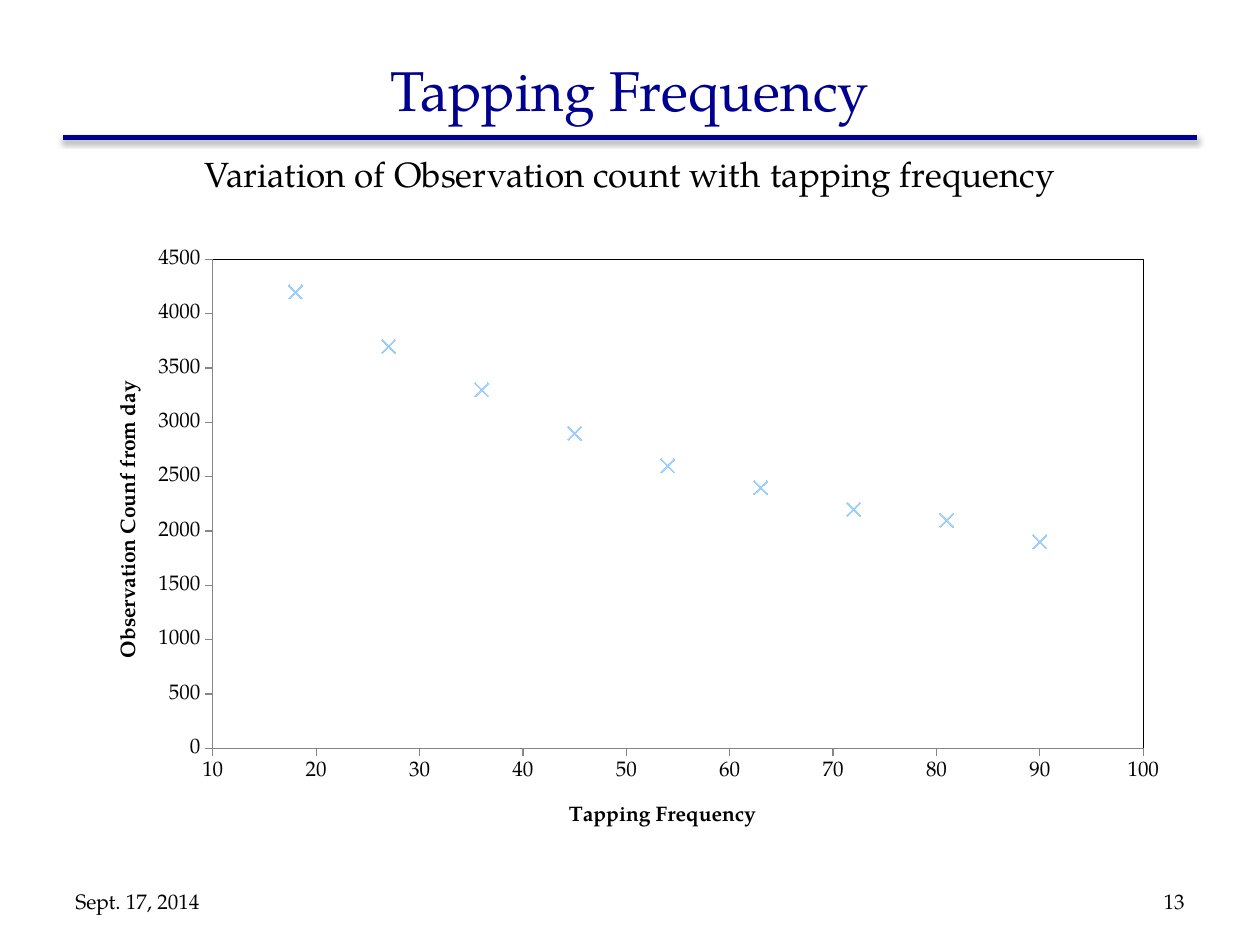
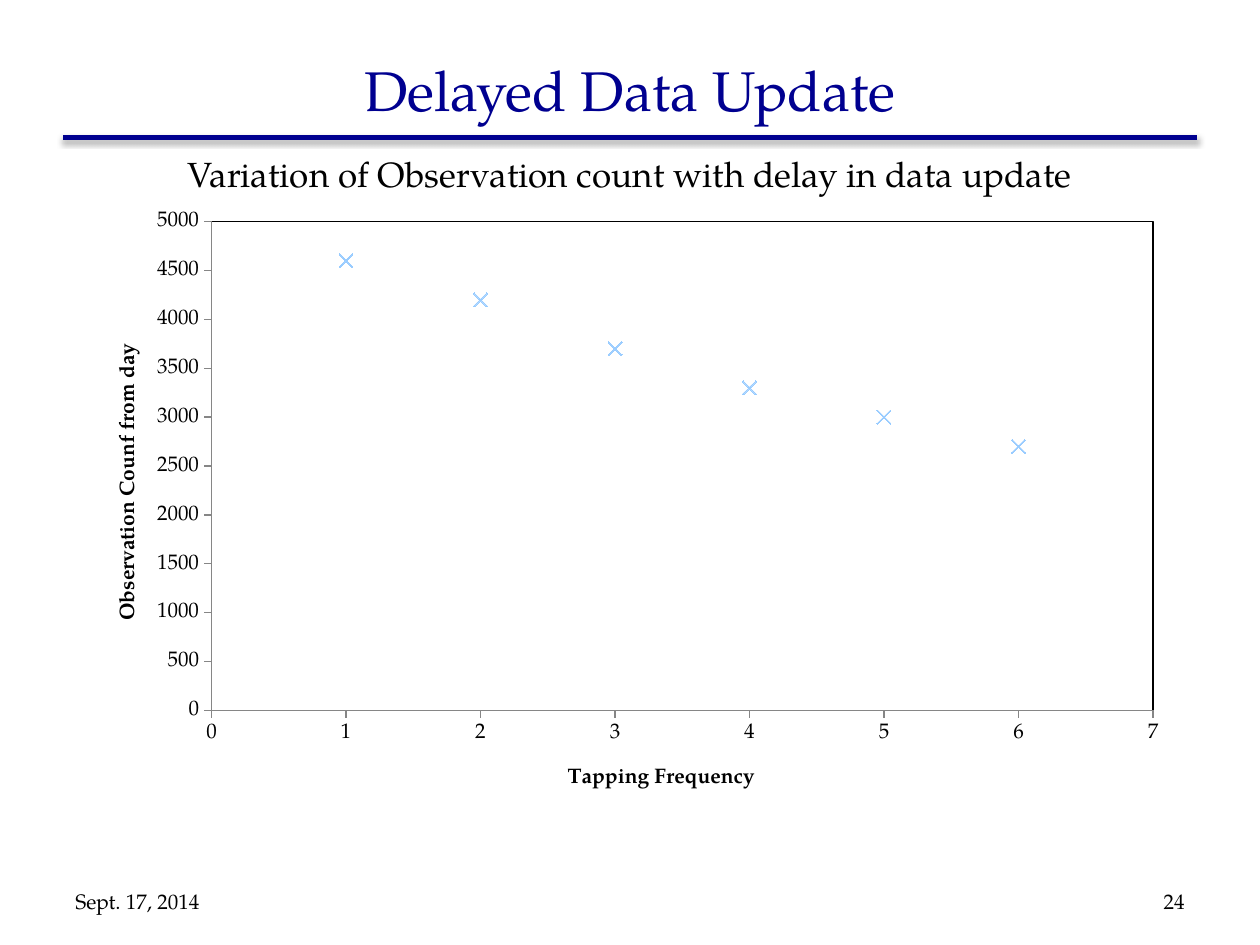
from dataclasses import dataclass
from typing import NamedTuple

from lxml import etree
from pptx import Presentation
from pptx import util as u
from pptx.chart.data import XyChartData
from pptx.dml.color import RGBColor
from pptx.enum import chart as ce
from pptx.enum import shapes, text
from pptx.oxml import parse_xml
from pptx.oxml.ns import nsdecls, qn

WIDE, HIGH = u.Inches(10), u.Inches(7.5)
COLS, ROWS = 100, 75
FONT = "TeX Gyre Pagella"
HUES = {"navy": "000090", "ink": "000000", "axis": "868686", "mark": "99CCFF"}
LEFT, MID, RIGHT = text.PP_ALIGN.LEFT, text.PP_ALIGN.CENTER, text.PP_ALIGN.RIGHT


class Box(NamedTuple):
    """A place on the grid, in columns and rows."""
    col: float
    row: float
    wide: float
    high: float

    def emu(self) -> tuple[int, ...]:
        return (*point(self.col, self.row), *point(self.wide, self.high))


@dataclass
class Page:
    title: str
    lead: str
    num: str
    box: Box
    span: float
    xs: list[int]
    ys: list[int]
    xlim: tuple[int, int, int]
    ylim: tuple[int, int, int]


TITLE = Box(5, 0.8, 90, 12.5)
LEAD = Box(5, 9.1, 90, 9.3)
DATE = Box(5, 69.5, 23.3, 4)
NUM = DATE._replace(col=95 - DATE.wide)
RULE = 10.9

PAGES = [
    Page("Tapping Frequency",
         "Variation of Observation count with tapping frequency", "13",
         Box(6.4, 18.8, 87.4, 48.5), 0.845,
         list(range(18, 91, 9)),
         [4200, 3700, 3300, 2900, 2600, 2400, 2200, 2100, 1900],
         (10, 100, 10), (0, 4500, 500)),
    Page("Delayed Data Update",
         "Variation of Observation count with delay in data update", "24",
         Box(6.3, 15.8, 87.4, 48.5), 0.855,
         list(range(1, 7)),
         [4600, 4200, 3700, 3300, 3000, 2700],
         (0, 7, 1), (0, 5000, 500)),
]


def point(col: float, row: float) -> tuple[int, int]:
    return round(WIDE * col / COLS), round(HIGH * row / ROWS)


def hue(name: str) -> RGBColor:
    return RGBColor.from_string(HUES[name])


def style(font, size: float, color: str = "ink", bold: bool = False) -> None:
    font.name, font.size, font.bold = FONT, u.Pt(size), bold
    font.color.rgb = hue(color)


def write(slide, words: str, box: Box, *, size: float = 12,
          color: str = "ink", align=LEFT) -> None:
    frame = slide.shapes.add_textbox(*box.emu()).text_frame
    frame.word_wrap = True
    frame.vertical_anchor = text.MSO_ANCHOR.MIDDLE
    para = frame.paragraphs[0]
    para.alignment = align
    run = para.add_run()
    run.text = words
    style(run.font, size, color)


def rule(slide) -> None:
    """Draw the shaded line under the title."""
    line = slide.shapes.add_connector(
        shapes.MSO_CONNECTOR.STRAIGHT, *point(5, RULE), *point(95, RULE))
    line.line.color.rgb = hue("navy")
    line.line.width = u.Pt(3)
    line.element.spPr.append(parse_xml(
        f'<a:effectLst {nsdecls("a")}><a:outerShdw blurRad="{u.Pt(3.1)}" '
        f'dist="{u.Pt(1.6)}" dir="5400000" rotWithShape="0">'
        f'<a:srgbClr val="{HUES["ink"]}"><a:alpha val="38000"/></a:srgbClr>'
        '</a:outerShdw></a:effectLst>'))


def place(node, index: int, **parts: float) -> None:
    """Fix a chart part at shares of the chart's size."""
    for old in node.findall(qn("c:layout")):
        node.remove(old)
    lay = etree.Element(qn("c:layout"))
    man = etree.SubElement(lay, qn("c:manualLayout"))
    if "w" in parts:
        etree.SubElement(man, qn("c:layoutTarget")).set("val", "inner")
    for mode in ("xMode", "yMode"):
        etree.SubElement(man, qn(f"c:{mode}")).set("val", "edge")
    for key, val in parts.items():
        etree.SubElement(man, qn(f"c:{key}")).set("val", str(val))
    node.insert(index, lay)


def scale(axis, name: str, lim: tuple[int, int, int], x: float, y: float,
          turn: int = 0) -> None:
    """Set an axis: its range, line, labels and title."""
    axis.minimum_scale, axis.maximum_scale, axis.major_unit = lim
    axis.has_major_gridlines = False
    axis.major_tick_mark = ce.XL_TICK_MARK.OUTSIDE
    axis.minor_tick_mark = ce.XL_TICK_MARK.NONE
    axis.format.line.color.rgb = hue("axis")
    axis.format.line.width = u.Pt(0.75)
    style(axis.tick_labels.font, 12)
    axis.tick_labels.number_format = "General"
    axis.tick_labels.number_format_is_linked = False
    title = axis.axis_title
    run = title.text_frame.paragraphs[0].add_run()
    run.text = name
    style(run.font, 12, bold=True)
    body = title.element.find(f".//{qn('a:bodyPr')}")
    body.set("rot", str(turn * 60000))
    body.set("vert", "horz")
    place(title.element, 1, x=x, y=y)


def plot(slide, page: Page) -> None:
    data = XyChartData()
    row = data.add_series("Series 1")
    for x, y in zip(page.xs, page.ys):
        row.add_data_point(x, y)
    chart = slide.shapes.add_chart(
        ce.XL_CHART_TYPE.XY_SCATTER, *page.box.emu(), data).chart
    chart.has_title = chart.has_legend = False
    style(chart.font, 10)
    chart.plots[0].vary_by_categories = False
    scale(chart.category_axis, "Tapping Frequency", page.xlim, 0.44, 0.92)
    scale(chart.value_axis, "Observation Counf from day", page.ylim,
          0.03, 0.23, turn=-90)

    dots = chart.plots[0].series[0]
    dots.smooth = False
    dots.format.line.fill.background()
    mark = dots.marker
    mark.style, mark.size = ce.XL_MARKER_STYLE.X, 8
    mark.format.fill.solid()
    mark.format.fill.fore_color.rgb = hue("mark")
    mark.format.line.color.rgb = hue("mark")

    area = chart.element.find(f".//{qn('c:plotArea')}")
    place(area, 0, x=0.12, y=0.037, w=page.span, h=0.8)
    area.append(parse_xml(
        f'<c:spPr {nsdecls("c", "a")}><a:noFill/><a:ln w="{u.Pt(0.75)}">'
        f'<a:solidFill><a:srgbClr val="{HUES["ink"]}"/></a:solidFill>'
        '</a:ln></c:spPr>'))


def build(deck, page: Page) -> None:
    slide = deck.slides.add_slide(deck.slide_layouts[6])
    rule(slide)
    write(slide, page.title, TITLE, size=32, color="navy", align=MID)
    write(slide, "Sept. 17, 2014", DATE)
    write(slide, page.num, NUM, align=RIGHT)
    plot(slide, page)
    write(slide, page.lead, LEAD, size=20, align=MID)


def main() -> None:
    deck = Presentation()
    deck.slide_width, deck.slide_height = WIDE, HIGH
    for page in PAGES:
        build(deck, page)
    deck.save("out.pptx")


if __name__ == "__main__":
    main()
